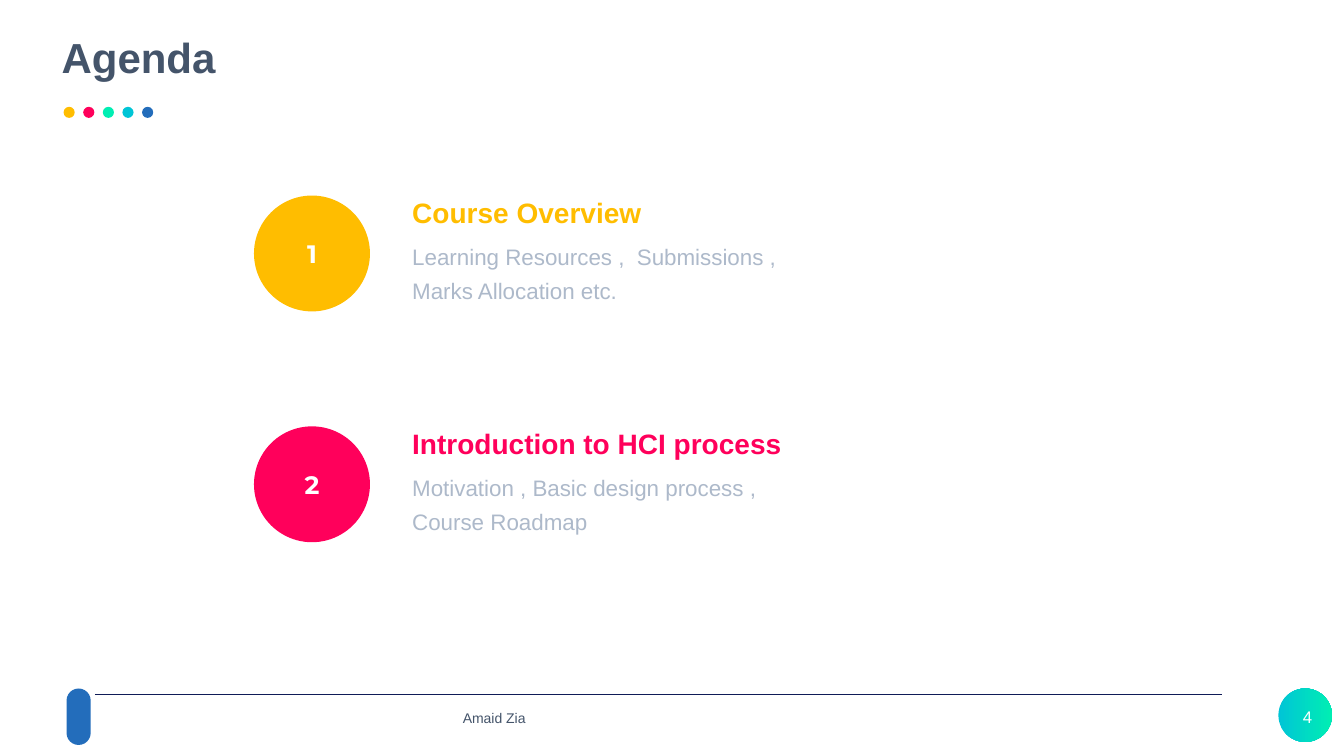
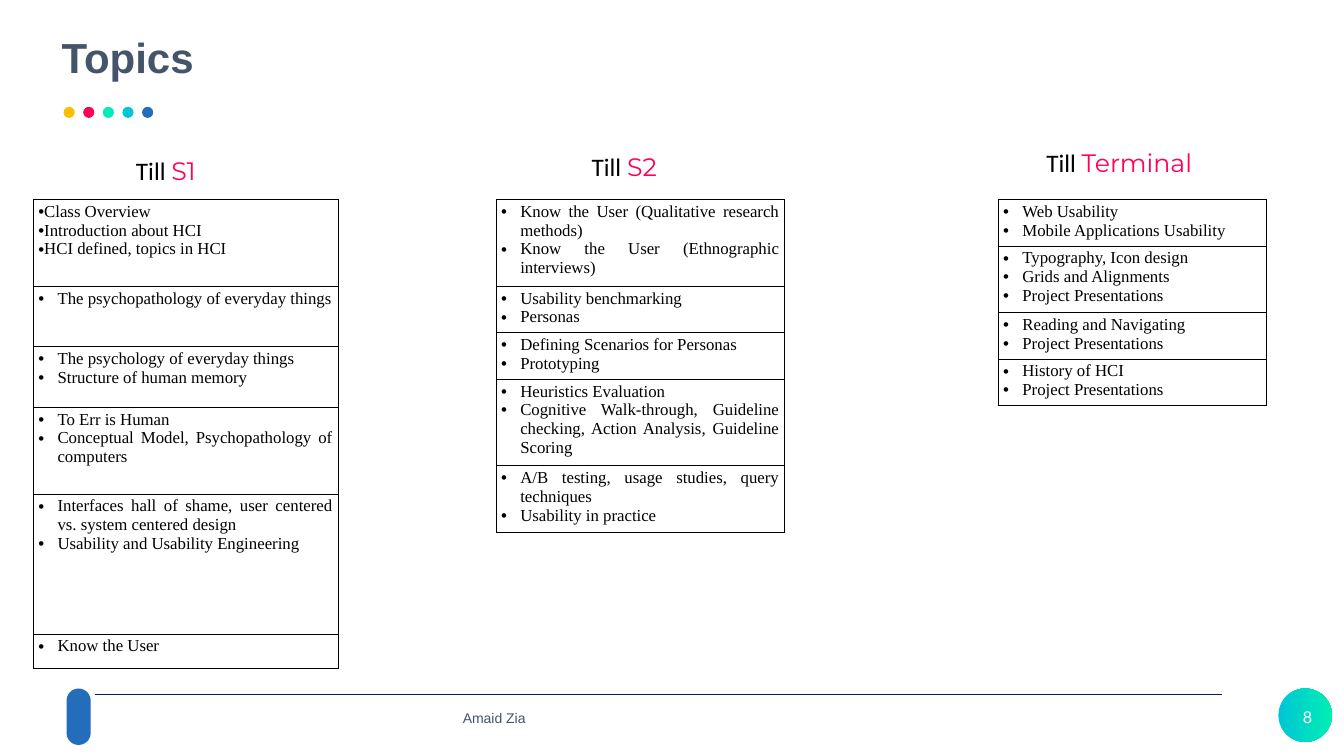
from dataclasses import dataclass

from lxml import etree
from pptx import Presentation
from pptx import util as u
from pptx.dml.color import RGBColor
from pptx.enum import shapes, text
from pptx.oxml import ns


@dataclass(frozen=True)
class Theme:
    # Colours
    yellow: str = "FFBD00"
    pink: str = "FF005B"
    mint: str = "00EEB3"
    cyan: str = "00C5D6"
    blue: str = "236DBB"
    navy: str = "0F1B57"
    slate: str = "44546A"
    mist: str = "ADB9CA"
    white: str = "FFFFFF"
    black: str = "000000"
    # Fonts
    sans: str = "Arial"
    accent: str = "Montserrat"
    label: str = "Calibri"
    serif: str = "Times New Roman"
    # Type sizes and line width, in points
    title: int = 30
    heading: int = 20
    marker: int = 18
    body: int = 16
    small: int = 12
    tiny: int = 10
    rule: float = 0.5


T = Theme()
SLIDE_W, SLIDE_H = u.Inches(13.33), u.Inches(7.5)
ALIGN, ANCHOR = text.PP_ALIGN, text.MSO_ANCHOR


# Lengths are percentages of the slide's width or height
def px(share):
    return u.Emu(round(SLIDE_W * share / 100))


def py(share):
    return u.Emu(round(SLIDE_H * share / 100))


def box(left, top, width, height):
    return px(left), py(top), px(width), py(height)


# Text
def add_run(p, words, size, color, font=T.sans, bold=False):
    r = p.add_run()
    r.text = words
    r.font.size = u.Pt(size)
    r.font.name = font
    r.font.bold = bold
    r.font.color.rgb = RGBColor.from_string(color)


def add_text(s, area, runs, align=ALIGN.LEFT, anchor=ANCHOR.TOP, spacing=None,
             wrap=True, inset=None):
    tf = s.shapes.add_textbox(*box(*area)).text_frame
    tf.word_wrap = wrap
    tf.vertical_anchor = anchor
    if inset is not None:
        tf.margin_left = tf.margin_right = u.Inches(inset)
        tf.margin_top = tf.margin_bottom = u.Inches(inset)
    p = tf.paragraphs[0]
    p.alignment = align
    if spacing:
        p.line_spacing = spacing
    for run in runs:
        add_run(p, *run)


# Shapes
def add_plain_shape(s, kind, area, color):
    sp = s.shapes.add_shape(kind, *box(*area))
    sp.shadow.inherit = False
    sp.fill.solid()
    sp.fill.fore_color.rgb = RGBColor.from_string(color)
    sp.line.fill.background()
    return sp


def add_circle(s, area, color):
    return add_plain_shape(s, shapes.MSO_SHAPE.OVAL, area, color)


def add_rule(s, left, right, y):
    line = s.shapes.add_connector(shapes.MSO_CONNECTOR.STRAIGHT,
                                  px(left), py(y), px(right), py(y))
    line.line.color.rgb = RGBColor.from_string(T.navy)
    line.line.width = u.Pt(T.rule)
    etree.SubElement(line.element.spPr, ns.qn("a:effectLst"))


# Tables
def add_borders(cell):
    tc_pr = cell._tc.get_or_add_tcPr()
    for i, side in enumerate(("lnL", "lnR", "lnT", "lnB")):
        ln = etree.Element(ns.qn(f"a:{side}"), w=str(u.Pt(T.rule)))
        fill = etree.SubElement(ln, ns.qn("a:solidFill"))
        etree.SubElement(fill, ns.qn("a:srgbClr"), val=T.black)
        tc_pr.insert(i, ln)


def add_bullet(p, indent):
    p_pr = p._p.get_or_add_pPr()
    p_pr.set("marL", str(u.Inches(indent)))
    p_pr.set("indent", str(-u.Inches(indent)))
    etree.SubElement(p_pr, ns.qn("a:buFont"), typeface=T.sans)
    etree.SubElement(p_pr, ns.qn("a:buChar"), char="•")


def fill_cell(cell, items, indent):
    cell.fill.background()
    add_borders(cell)
    cell.margin_left = cell.margin_right = u.Inches(0.05)
    cell.margin_top = cell.margin_bottom = u.Inches(0.03)
    tf = cell.text_frame
    for i, item in enumerate(items):
        p = tf.add_paragraph() if i else tf.paragraphs[0]
        p.alignment = ALIGN.JUSTIFY
        add_bullet(p, indent)
        add_run(p, item, T.small, T.black, T.serif)


def add_topic_table(s, left, width, rows, flush_first=False):
    total = sum(height for height, _ in rows)
    frame = s.shapes.add_table(len(rows), 1, *box(left, 26.4, width, total))
    table = frame.table
    table.first_row = table.horz_banding = False
    for i, (height, items) in enumerate(rows):
        table.rows[i].height = py(height)
        fill_cell(table.cell(i, 0), items, 0 if flush_first and i == 0 else 0.19)


# Shared dots, footer and page disc
def add_decoration(s):
    disc = add_circle(s, (95.12, 91.07, 3.98, 7.07), T.cyan)
    disc.fill.gradient()
    disc.fill.gradient_angle = 0
    for stop, color in zip(disc.fill.gradient_stops, (T.cyan, T.mint)):
        stop.color.rgb = RGBColor.from_string(color)
    badge = add_plain_shape(s, shapes.MSO_SHAPE.ROUNDED_RECTANGLE,
                            (4.95, 91.07, 1.8, 7.47), T.blue)
    badge.adjustments[0] = 0.5
    add_text(s, (34.13, 93.33, 5.33, 3.33), [("Amaid Zia", T.tiny, T.slate)],
             wrap=False, inset=0.04)
    add_rule(s, 7.05, 90.92, 91.87)
    for i, color in enumerate((T.yellow, T.pink, T.mint, T.cyan, T.blue)):
        add_circle(s, (4.73 + 1.46 * i, 14.13, 0.83, 1.47), color)


def move_to_layout(s, layout):
    for sp in list(s.shapes):
        if not sp.is_placeholder:
            layout.shapes.element.append(sp.element)


def add_titled_slide(prs, layout, title, number):
    s = prs.slides.add_slide(layout)
    if len(prs.slides) == 1:
        add_decoration(s)
        move_to_layout(s, layout)
    sp = s.shapes.title
    sp.left, sp.top, sp.width, sp.height = box(3.83, 3.47, 92.42, 8)
    tf = sp.text_frame
    tf.auto_size = text.MSO_AUTO_SIZE.NONE
    tf.vertical_anchor = ANCHOR.MIDDLE
    tf.paragraphs[0].alignment = ALIGN.LEFT
    add_run(tf.paragraphs[0], title, T.title, T.slate, bold=True)
    add_text(s, (94.97, 92.13, 4.65, 5.33), [(number, T.small, T.white)],
             ALIGN.CENTER, ANCHOR.MIDDLE)
    return s


# Agenda slide
AGENDA = [
    ("Course Overview",
     "Learning Resources ,  Submissions , Marks Allocation etc.", T.yellow),
    ("Introduction to HCI process",
     "Motivation , Basic design process , Course Roadmap", T.pink),
]


def add_agenda_item(s, index, heading, detail, color):
    drop = 30.53 * index
    add_text(s, (29.93, 25.2 + drop, 31.28, 5.87),
             [(heading, T.heading, color, T.sans, True)])
    add_text(s, (29.93, 30.67 + drop, 31.28, 9.87),
             [(detail, T.body, T.mist)], spacing=1.25)
    tf = add_circle(s, (18.9, 25.87 + drop, 8.63, 15.33), color).text_frame
    tf.vertical_anchor = ANCHOR.MIDDLE
    p = tf.paragraphs[0]
    p.alignment = ALIGN.CENTER
    add_run(p, str(index + 1), T.marker, T.white, T.accent, True)


# Topics slide: each row is a least height and its bullets
TILL_S1 = [
    (11.47, ["Class Overview", "Introduction about HCI",
             "HCI defined, topics in HCI"]),
    (8, ["The psychopathology of everyday things"]),
    (8, ["The psychology of everyday things", "Structure of human memory"]),
    (11.47, ["To Err is Human",
             "Conceptual Model, Psychopathology of computers"]),
    (18.53, ["Interfaces hall of shame, user centered vs. system centered design",
             "Usability and Usability Engineering"]),
    (4.53, ["Know the User"]),
]
TILL_S2 = [
    (4.67, ["Know the User (Qualitative research methods)",
            "Know the User (Ethnographic interviews)"]),
    (3.33, ["Usability benchmarking", "Personas"]),
    (3.33, ["Defining Scenarios for Personas", "Prototyping"]),
    (5.87, ["Heuristics Evaluation",
            "Cognitive Walk-through, Guideline checking, Action Analysis, "
            "Guideline Scoring"]),
    (4.67, ["A/B testing, usage studies, query techniques",
            "Usability in practice"]),
]
TILL_TERMINAL = [
    (3.33, ["Web Usability", "Mobile Applications Usability"]),
    (4.67, ["Typography, Icon design", "Grids and Alignments",
            "Project Presentations"]),
    (3.33, ["Reading and Navigating", "Project Presentations"]),
    (3.33, ["History of HCI", "Project Presentations"]),
]


def add_topic_heading(s, left, top, width, term):
    add_text(s, (left, top, width, 5.33),
             [("Till ", T.marker, T.black, T.label),
              (term, T.marker, T.pink, T.accent)])


def main():
    prs = Presentation()
    prs.slide_width, prs.slide_height = SLIDE_W, SLIDE_H
    layout = prs.slide_layouts.get_by_name("Title Only")

    s = add_titled_slide(prs, layout, "Agenda", "4")
    for i, item in enumerate(AGENDA):
        add_agenda_item(s, i, *item)

    s = add_titled_slide(prs, layout, "Topics", "8")
    add_topic_table(s, 2.48, 22.66, TILL_S1, flush_first=True)
    add_topic_table(s, 36.91, 21.46, TILL_S2)
    add_topic_table(s, 74.27, 19.95, TILL_TERMINAL)
    add_topic_heading(s, 9.38, 19.87, 8.7, "S1")
    add_topic_heading(s, 43.29, 19.33, 8.7, "S2")
    add_topic_heading(s, 77.12, 18.8, 13.5, "Terminal")

    prs.save("out.pptx")


if __name__ == "__main__":
    main()
